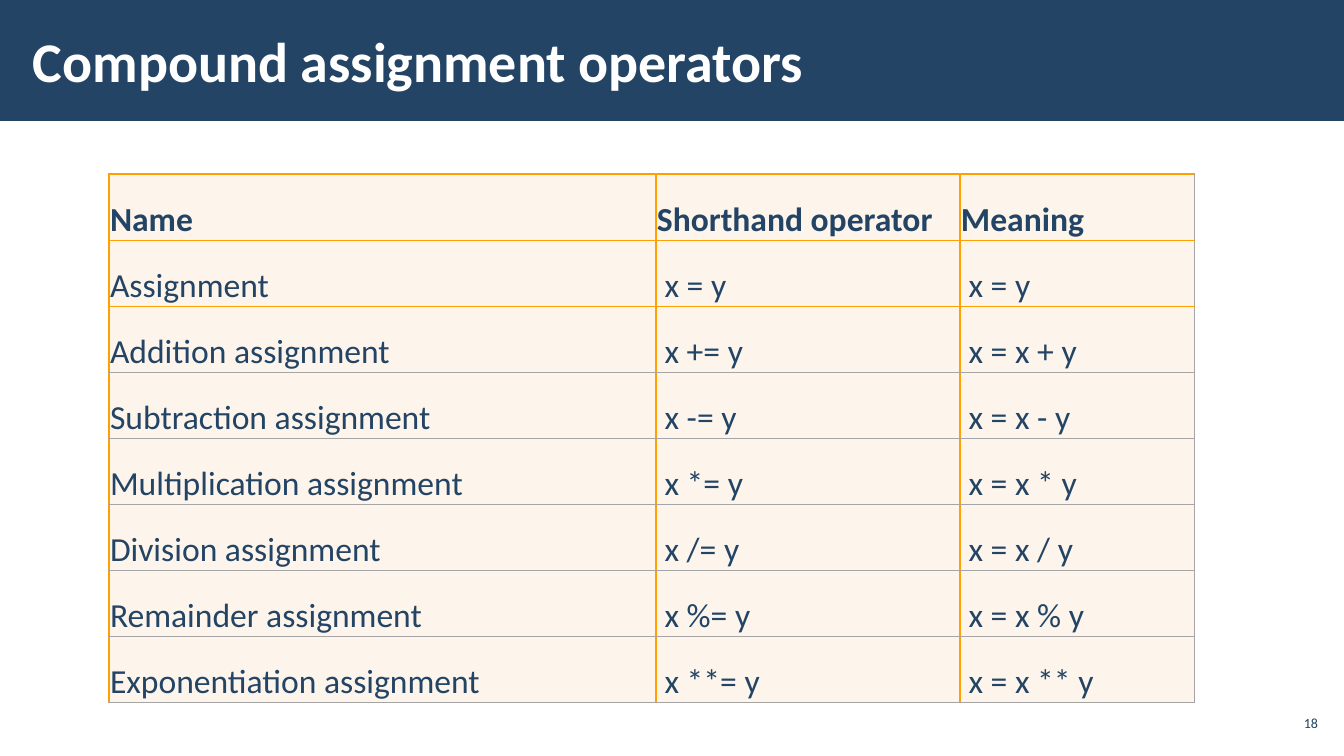
from lxml.etree import SubElement
from pptx import Presentation
from pptx.dml.color import RGBColor as RGB
from pptx.enum.shapes import MSO_SHAPE as SHAPE
from pptx.enum.text import MSO_ANCHOR as ANCHOR, PP_ALIGN as ALIGN
from pptx.oxml.ns import qn
from pptx.util import Emu, Pt

WIDE, HIGH = 1344, 756
SCALE = 12192000 / WIDE
HUE = {"navy": "234465", "white": "FFFFFF", "cream": "FDF5EB",
       "orange": "FFA000", "gray": "A5A5A5"}
COLS = [547, 304, 235]
ROWS = [
    ("Name", "Shorthand operator", "Meaning"),
    ("Assignment", " x = y", " x = y"),
    ("Addition assignment", " x += y", " x = x + y"),
    ("Subtraction assignment", " x -= y", " x = x - y"),
    ("Multiplication assignment", " x *= y", " x = x * y"),
    ("Division assignment", " x /= y", " x = x / y"),
    ("Remainder assignment", " x %= y", " x = x % y"),
    ("Exponentiation assignment", " x **= y", " x = x ** y"),
]


def px(n):
    return Emu(round(n * SCALE))


def paint(fill, hue):
    fill.solid()
    fill.fore_color.rgb = RGB.from_string(HUE[hue])


def style(par, size, hue, bold=False):
    font = par.font
    font.name, font.size, font.bold = "Calibri", Pt(size), bold
    font.color.rgb = RGB.from_string(HUE[hue])


def label(slide, box, text, size, hue, pad, bold=False, align=ALIGN.LEFT):
    frame = slide.shapes.add_textbox(*map(px, box)).text_frame
    frame.word_wrap = True
    frame.vertical_anchor = ANCHOR.MIDDLE
    frame.margin_left = frame.margin_right = px(pad)
    frame.margin_top = frame.margin_bottom = px(4)
    par = frame.paragraphs[0]
    par.text, par.alignment = text, align
    style(par, size, hue, bold)


def header(slide, box, text):
    x, y, w, h = box
    band = slide.shapes.add_shape(SHAPE.RECTANGLE, *map(px, box))
    band.shadow.inherit = False
    paint(band.fill, "navy")
    band.line.fill.background()
    label(slide, (x + 21, y + 11, 1047, h - 23), text, 40, "white", 12, True)


def border(cell, row, col):
    """Draw orange rules, with gray ones on the right and under later rows."""
    across = ["orange" if r < 3 else "gray" for r in (row, row + 1)]
    down = ["orange" if c < len(COLS) else "gray" for c in (col, col + 1)]
    props = cell._tc.get_or_add_tcPr()
    for side, hue in zip("LRTB", down + across):
        width = Pt(1 if hue == "orange" else 0.75)
        line = SubElement(props, qn(f"a:ln{side}"), w=str(width))
        fill = SubElement(line, qn("a:solidFill"))
        SubElement(fill, qn("a:srgbClr"), val=HUE[hue])


def table(slide, box):
    grid = slide.shapes.add_table(len(ROWS), len(COLS), *map(px, box)).table
    grid.first_row = grid.horz_banding = False
    for col, width in zip(grid.columns, COLS):
        col.width = px(width)
    for r, words in enumerate(ROWS):
        grid.rows[r].height = px(box[3] / len(ROWS))
        for c, text in enumerate(words):
            cell = grid.cell(r, c)
            border(cell, r, c)
            paint(cell.fill, "cream")
            cell.vertical_anchor = ANCHOR.BOTTOM
            cell.margin_left = cell.margin_right = cell.margin_top = px(1)
            cell.margin_bottom = 0
            par = cell.text_frame.paragraphs[0]
            par.text = text
            style(par, 24, "navy", r == 0)


def main():
    deck = Presentation()
    deck.slide_width, deck.slide_height = px(WIDE), px(HIGH)
    slide = deck.slides.add_slide(deck.slide_layouts[6])
    header(slide, (0, 0, WIDE, 121), "Compound assignment operators")
    label(slide, (1275, 706, 47, 34), "18", 10, "navy", 4, align=ALIGN.RIGHT)
    table(slide, (109, 174, sum(COLS), 529))
    deck.save("out.pptx")


if __name__ == "__main__":
    main()
